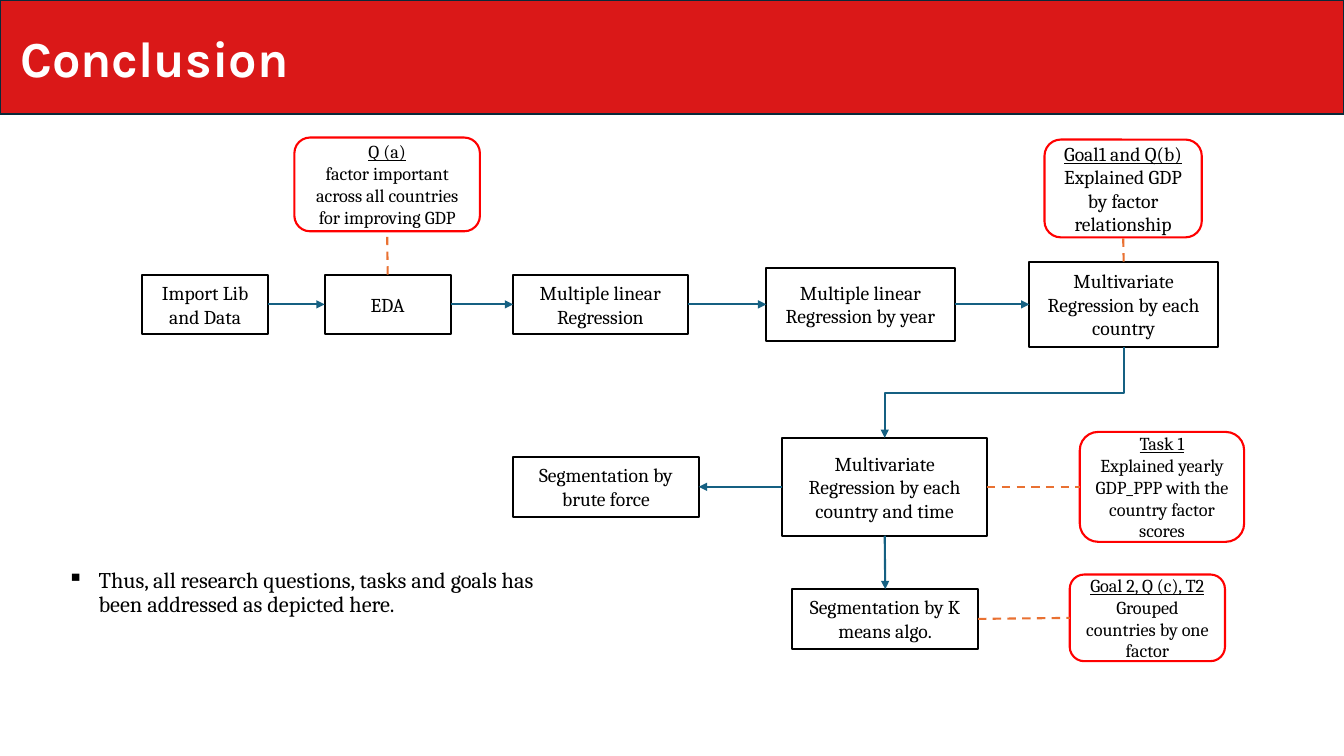
import pptx
import pptx.dml.color
import pptx.enum.dml
import pptx.enum.shapes
import pptx.enum.text
import pptx.oxml.ns
import pptx.util
from lxml import etree

Inches = pptx.util.Inches
Pt = pptx.util.Pt
Color = pptx.dml.color.RGBColor
Kind = pptx.enum.shapes.MSO_SHAPE
Wire = pptx.enum.shapes.MSO_CONNECTOR
Align = pptx.enum.text.PP_ALIGN
Anchor = pptx.enum.text.MSO_ANCHOR
qn = pptx.oxml.ns.qn

RED = Color(0xDA, 0x18, 0x18)
NAVY = Color(0x09, 0x2A, 0x39)
WHITE = Color(0xFF, 0xFF, 0xFF)
BLACK = Color(0, 0, 0)
BRIGHT = Color(0xFF, 0, 0)
TEAL = Color(0x15, 0x60, 0x82)
ORANGE = Color(0xE9, 0x71, 0x32)
TOP, LEFT, BOTTOM, RIGHT = range(4)


def write(frame, text, size=14, font="Cambria", color=BLACK, bold=False,
          align=Align.CENTER, head=False):
    """Fill a text frame, one paragraph per line, underlining a head line."""
    frame.word_wrap = True
    for index, line in enumerate(text.split("\n")):
        para = frame.add_paragraph() if index else frame.paragraphs[0]
        para.alignment = align
        run = para.add_run()
        run.text = line
        run.font.size = Pt(size)
        run.font.name = font
        run.font.bold = bold
        run.font.underline = head and index == 0
        run.font.color.rgb = color


def block(slide, kind, box, fill, edge):
    """Draw a filled shape whose text sits in the middle."""
    shape = slide.shapes.add_shape(kind, *map(Inches, box))
    shape.shadow.inherit = False
    shape.fill.solid()
    shape.fill.fore_color.rgb = fill
    shape.line.color.rgb = edge
    shape.line.width = Pt(1.5)
    shape.text_frame.vertical_anchor = Anchor.MIDDLE
    return shape


def link(slide, start, out, end, into, color, arrow=False, wire=Wire.STRAIGHT):
    """Join two shapes with an arrow or a dashed line."""
    line = slide.shapes.add_connector(wire, 0, 0, 0, 0)
    line.begin_connect(start, out)
    line.end_connect(end, into)
    line.line.color.rgb = color
    line.line.width = Pt(1.5)
    props = line._element.spPr
    if arrow:
        etree.SubElement(props.find(qn("a:ln")), qn("a:tailEnd"), type="triangle")
    else:
        line.line.dash_style = pptx.enum.dml.MSO_LINE.DASH
    etree.SubElement(props, qn("a:effectLst"))
    return line


def turn(line):
    """Turn an elbow a quarter so that it leaves downward and runs left."""
    wide, high = line.width, line.height
    line.left += (wide - high) // 2
    line.top += (high - wide) // 2
    line.width, line.height = high, wide
    frame = line._element.spPr.find(qn("a:xfrm"))
    frame.attrib.pop("flipH", None)
    frame.set("rot", "5400000")


def banner(slide, box):
    """Draw the title band."""
    band = block(slide, Kind.RECTANGLE, box, RED, NAVY)
    band.text_frame.margin_left = Inches(0.2)
    write(band.text_frame, "Conclusion", size=36, font="Karla", color=WHITE,
          bold=True, align=Align.LEFT)


def summary(slide, box):
    """Place the bulleted closing remark."""
    frame = slide.shapes.add_textbox(*map(Inches, box)).text_frame
    write(frame, "Thus, all research questions, tasks and goals has been "
          "addressed as depicted here.", size=16, align=Align.LEFT)
    para = frame.paragraphs[0]
    para.line_spacing = 0.9
    para.space_before = Pt(10)
    props = para._p.get_or_add_pPr()
    props.set("marL", str(Inches(0.31)))
    props.set("indent", str(-Inches(0.31)))
    etree.SubElement(props, qn("a:buChar"), char="▪")


def flow(slide, box):
    """Draw the steps, their notes and the lines between them."""
    left, top = box[:2]
    row, low, last = 1.65, 3.46, 4.77

    def put(kind, edge, spot, text, **style):
        """Place one block by its left edge and middle height."""
        start, mid, wide, high = spot
        place = (left + start, top + mid - high / 2, wide, high)
        shape = block(slide, kind, place, WHITE, edge)
        write(shape.text_frame, text, **style)
        return shape

    steps = {
        "load": ((0, row, 1.25, 0.59), "Import Lib and Data"),
        "eda": ((1.81, row, 1.25, 0.59), "EDA"),
        "linear": ((3.68, row, 1.73, 0.59), "Multiple linear Regression"),
        "year": ((6.19, row, 1.87, 0.73), "Multiple linear Regression by year"),
        "country": ((8.8, row, 1.87, 0.85),
                    "Multivariate Regression by each country"),
        "time": ((6.35, low, 2.03, 0.97),
                 "Multivariate Regression by each country and time"),
        "brute": ((3.68, low, 1.84, 0.59), "Segmentation by brute force"),
        "means": ((6.45, last, 1.84, 0.59), "Segmentation by K means algo."),
    }
    step = {name: put(Kind.RECTANGLE, BLACK, *data)
            for name, data in steps.items()}

    chain = list(step.values())[:5]
    joins = [(a, RIGHT, b, LEFT) for a, b in zip(chain, chain[1:])]
    joins += [(step["time"], LEFT, step["brute"], RIGHT),
              (step["time"], BOTTOM, step["means"], TOP)]
    for join in joins:
        link(slide, *join, TEAL, arrow=True)
    turn(link(slide, step["country"], BOTTOM, step["time"], TOP, TEAL,
              arrow=True, wire=Wire.ELBOW))

    notes = [
        ("eda", TOP, BOTTOM, 13, (1.51, 0.46, 1.84, 0.93),
         "Q (a)\nfactor important across all countries for improving GDP"),
        ("country", TOP, BOTTOM, 14, (8.95, 0.5, 1.56, 0.97),
         "Goal1 and Q(b)\nExplained GDP by factor relationship"),
        ("time", RIGHT, LEFT, 13, (9.3, low, 1.63, 1.09),
         "Task 1\nExplained yearly GDP_PPP with the country factor scores"),
        ("means", RIGHT, LEFT, 13, (9.2, 4.76, 1.54, 0.86),
         "Goal 2, Q (c), T2\nGrouped countries by one factor"),
    ]
    for name, out, into, size, spot, text in notes:
        note = put(Kind.ROUNDED_RECTANGLE, BRIGHT, spot, text, size=size, head=True)
        link(slide, step[name], out, note, into, ORANGE)


def main():
    """Build the slide and save it."""
    deck = pptx.Presentation()
    deck.slide_width = Inches(13.33)
    deck.slide_height = Inches(7.5)
    slide = deck.slides.add_slide(deck.slide_layouts[6])
    banner(slide, (0, 0, 13.33, 1.13))
    summary(slide, (0.57, 5.6, 5.1, 1.68))
    flow(slide, (1.41, 1.37, 10.93, 5.19))
    deck.save("out.pptx")


if __name__ == "__main__":
    main()
